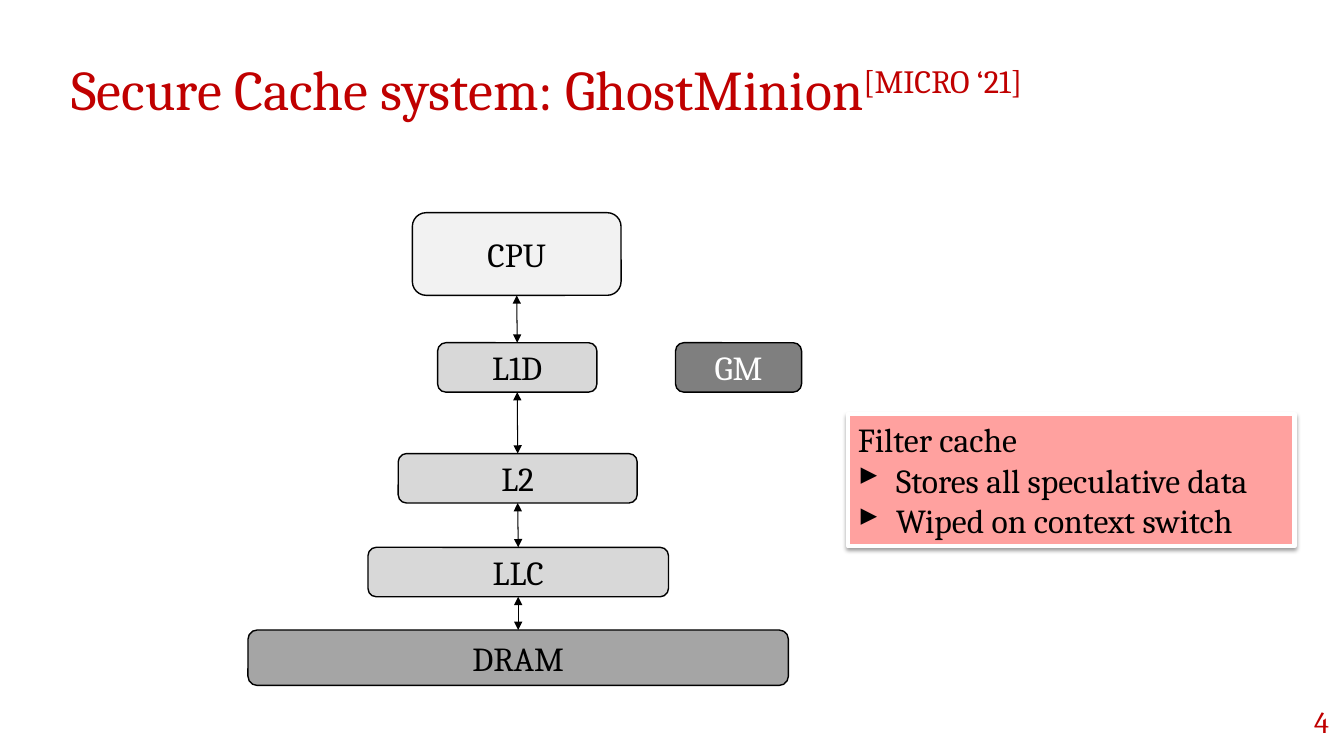
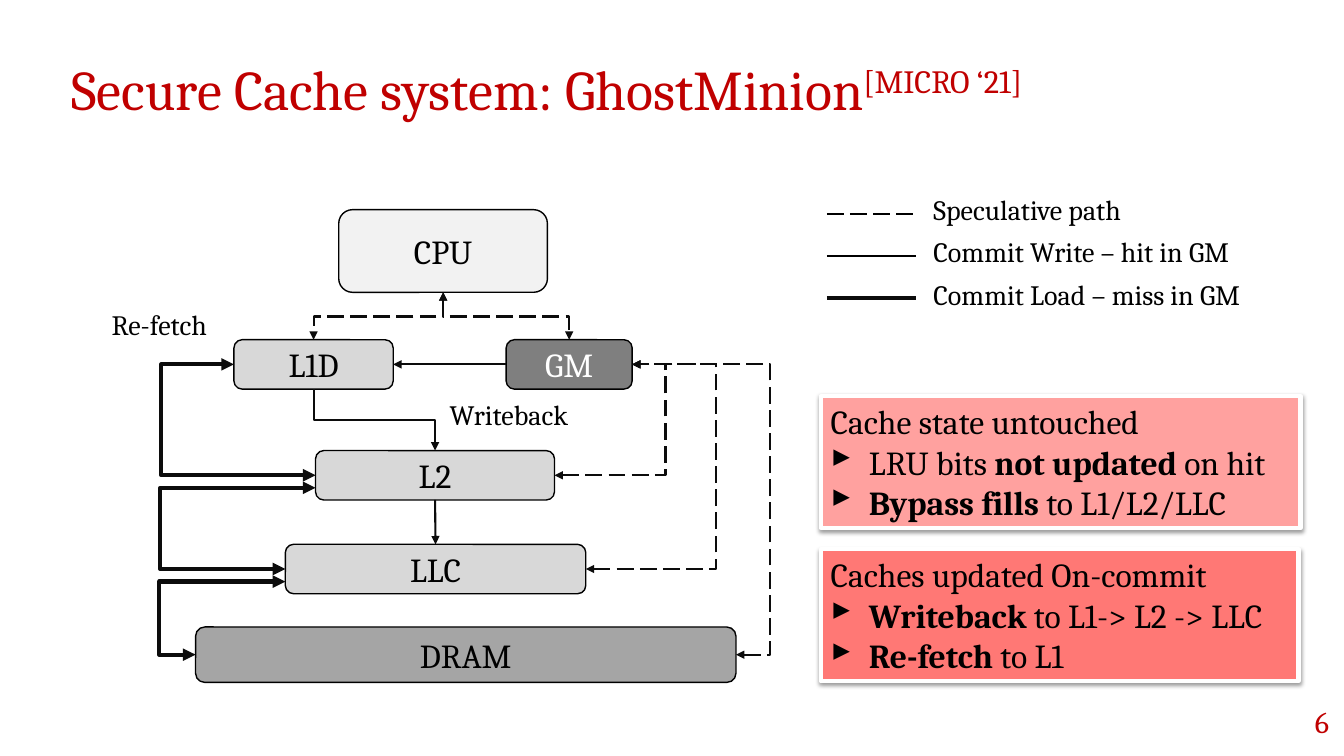
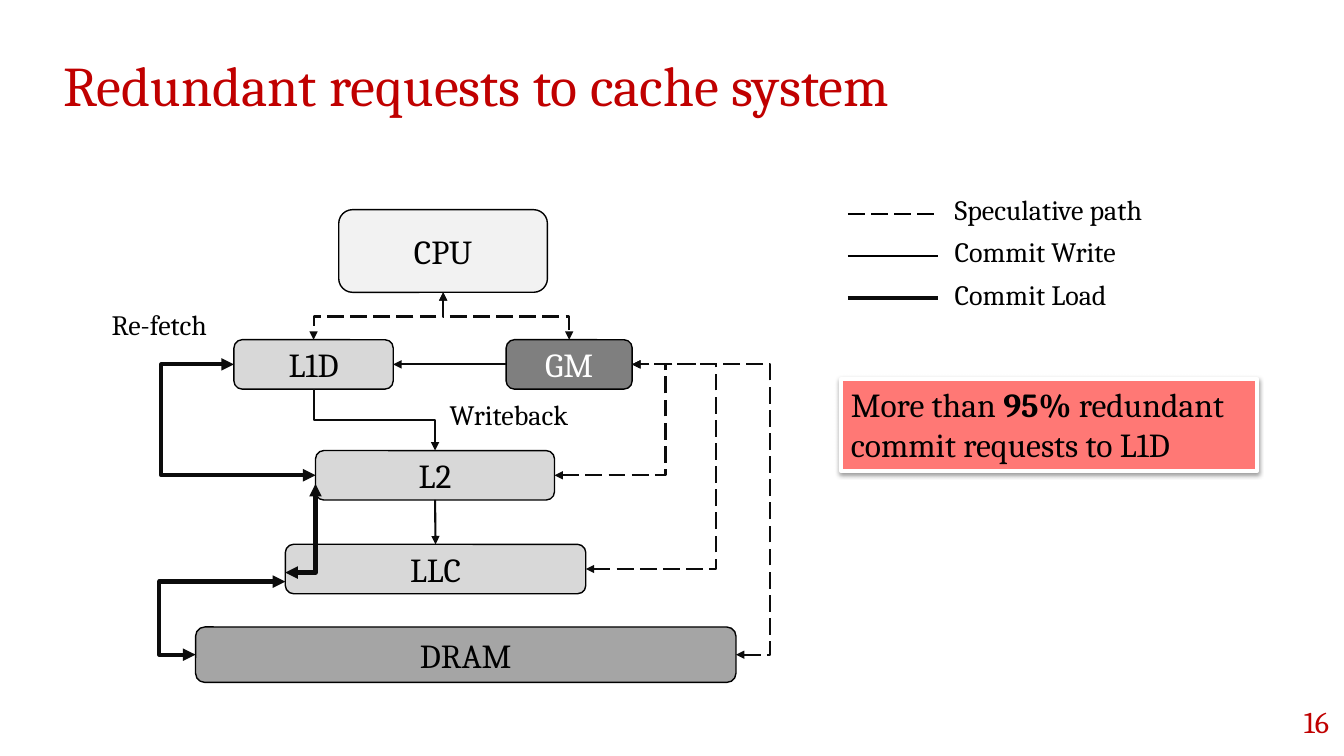
from itertools import pairwise

from lxml.etree import SubElement
from pptx import Presentation
from pptx.dml.color import RGBColor
from pptx.enum.dml import MSO_LINE
from pptx.enum.shapes import MSO_CONNECTOR as Link, MSO_SHAPE as Preset
from pptx.enum.text import MSO_ANCHOR as Anchor, MSO_AUTO_SIZE as AutoSize, PP_ALIGN as Align
from pptx.oxml.ns import qn
from pptx.util import Emu, Pt

PX = 9144  # EMU in one px, 100 px to the inch
FONT = "Cambria"
COLORS = {
    "accent": "C00000", "black": "000000", "ink": "0C0C0C", "white": "FFFFFF",
    "cpu": "F2F2F2", "cache": "D8D8D8", "filter": "7F7F7F", "memory": "A5A5A5",
    "light_note": "FFA19F", "strong_note": "FF7875",
}
TOP, LEFT, BOTTOM, RIGHT = range(4)
THIN, NORMAL, THICK = 0.75, 1.5, 3

# name: top, width, height, fill, text colour
NODES = {
    "CPU": (208, 207, 82, "cpu", "black"),
    "L1D": (337, 158, 49, "cache", "black"),
    "GM": (337, 125, 49, "filter", "white"),
    "L2": (447, 237, 49, "cache", "black"),
    "LLC": (540, 298, 49, "cache", "black"),
    "DRAM": (622, 536, 55, "memory", "black"),
}


def px(*lengths):
    return [Emu(round(length * PX)) for length in lengths]


def color(name):
    return RGBColor.from_string(COLORS[name])


def style_runs(paragraph, size, color_name):
    for run in paragraph.runs:
        run.font.name = FONT
        run.font.size = Pt(size)
        run.font.color.rgb = color(color_name)


def set_frame(text_frame, inset, anchor=Anchor.TOP, auto_size=AutoSize.NONE):
    """Set wrapping, anchor and the upper and lower insets; the side insets are always 10 px."""
    text_frame.word_wrap = True
    text_frame.auto_size = auto_size
    text_frame.vertical_anchor = anchor
    text_frame.margin_left, text_frame.margin_right = px(10, 10)
    text_frame.margin_top, text_frame.margin_bottom = px(inset, inset)


def add_slide(presentation, number, title, title_at, citation=""):
    slide = presentation.slides.add_slide(presentation.slide_layouts[5])
    shape = slide.shapes.title
    shape.left, shape.top, shape.width, shape.height = px(*title_at)
    set_frame(shape.text_frame, 10)
    paragraph = shape.text_frame.paragraphs[0]
    paragraph.text = title
    paragraph.alignment = Align.LEFT
    if citation:
        run = paragraph.add_run()
        run.text = citation
        run.font._element.set("baseline", "30000")
    style_runs(paragraph, 40, "accent")

    page = slide.shapes.add_textbox(*px(1234, 687, 94, 57))
    set_frame(page.text_frame, 10, Anchor.MIDDLE)
    paragraph = page.text_frame.paragraphs[0]
    paragraph.text = str(number)
    paragraph.alignment = Align.RIGHT
    style_runs(paragraph, 21.6, "accent")
    return slide


def add_nodes(slide, lefts, drop=0):
    """Draw the memory hierarchy and return its shapes by name."""
    nodes = {}
    for name, (top, width, height, fill, text_color) in NODES.items():
        box = px(lefts[name], top + drop, width, height)
        shape = slide.shapes.add_shape(Preset.ROUNDED_RECTANGLE, *box)
        shape.shadow.inherit = False
        shape.fill.solid()
        shape.fill.fore_color.rgb = color(fill)
        shape.line.color.rgb = color("black")
        shape.line.width = Pt(1)
        set_frame(shape.text_frame, 5, Anchor.MIDDLE)
        paragraph = shape.text_frame.paragraphs[0]
        paragraph.text = name
        paragraph.alignment = Align.CENTER
        style_runs(paragraph, 24, text_color)
        nodes[name] = shape
    return nodes


def add_label(slide, text, left, top, width):
    label = slide.shapes.add_textbox(*px(left, top, width, 44))
    set_frame(label.text_frame, 5, auto_size=AutoSize.SHAPE_TO_FIT_TEXT)
    label.text_frame.text = text
    style_runs(label.text_frame.paragraphs[0], 20, "black")


def end_point(end):
    """Return EMU coordinates of a (shape, side) pair or of an (x, y) pair in px."""
    shape, side = end
    if isinstance(shape, int):
        return px(*end)
    x = shape.left + (0, shape.width // 2, shape.width)[{LEFT: 0, RIGHT: 2}.get(side, 1)]
    y = shape.top + (0, shape.height // 2, shape.height)[{TOP: 0, BOTTOM: 2}.get(side, 1)]
    return x, y


def add_line(slide, start, end, width=NORMAL, line_color="ink", dashed=False,
             heads=(), kind=Link.STRAIGHT):
    points = *end_point(start), *end_point(end)
    connector = slide.shapes.add_connector(kind, *points)
    if not isinstance(start[0], int):
        connector.begin_connect(*start)
    if not isinstance(end[0], int):
        connector.end_connect(*end)
    connector.line.color.rgb = color(line_color)
    connector.line.width = Pt(width)
    if dashed:
        connector.line.dash_style = MSO_LINE.LONG_DASH
    line = connector.line._get_or_add_ln()
    for head in heads:
        SubElement(line, qn(f"a:{head}"), type="triangle")
    SubElement(connector.element.spPr, qn("a:effectLst"))
    return connector


def add_elbow(slide, start, end, via, vertical=False, **style):
    """Join two ends by three segments; via is the px place of the middle one.

    The outer segments are horizontal, or vertical when asked for.
    """
    connector = add_line(slide, start, end, kind=Link.ELBOW, **style)
    (x1, y1), (x2, y2) = end_point(start), end_point(end)
    run, rise = x2 - x1, y2 - y1
    same_sign = (run > 0) == (rise > 0)
    if vertical:
        width, height = abs(rise), abs(run)
        rotation, flip = (90 if run < 0 else 270), same_sign
        bend = (via * PX - y1) / rise
    else:
        width, height = abs(run), abs(rise)
        rotation, flip = (0 if rise > 0 else 180), not same_sign
        bend = (via * PX - x1) / run
    connector.left, connector.top = (x1 + x2 - width) // 2, (y1 + y2 - height) // 2
    connector.width, connector.height = width, height
    frame = connector.element.spPr.find(qn("a:xfrm"))
    for name, value in (("rot", rotation * 60000), ("flipH", int(flip)), ("flipV", 0)):
        frame.set(name, str(value))
    guides = connector.element.spPr.find(qn("a:prstGeom")).find(qn("a:avLst"))
    SubElement(guides, qn("a:gd"), name="adj1", fmla=f"val {round(bend * 100000)}")


def add_bullet(paragraph):
    properties = paragraph._p.get_or_add_pPr()
    indent = round(38 * PX)
    properties.set("marL", str(indent))
    properties.set("indent", str(-indent))
    bullet_color = SubElement(properties, qn("a:buClr"))
    SubElement(bullet_color, qn("a:srgbClr"), val=COLORS["black"])
    SubElement(properties, qn("a:buChar"), char="▸")


def add_note(slide, at, fill, heading, *bullets):
    """Add a shadowed box with a heading and bullets; *stars* enclose bold words."""
    shape = slide.shapes.add_shape(Preset.RECTANGLE, *px(*at))
    shape.fill.solid()
    shape.fill.fore_color.rgb = color(fill)
    shape.line.color.rgb = color("white")
    shape.line.width = Pt(3)
    effects = SubElement(shape.element.spPr, qn("a:effectLst"))
    shadow = SubElement(effects, qn("a:outerShdw"), blurRad=str(Pt(3.1)), dist=str(Pt(1.6)),
                        dir="5400000", rotWithShape="0")
    shade = SubElement(shadow, qn("a:srgbClr"), val=COLORS["black"])
    SubElement(shade, qn("a:alpha"), val="38000")

    text_frame = shape.text_frame
    set_frame(text_frame, 5, auto_size=AutoSize.SHAPE_TO_FIT_TEXT)
    for index, text in enumerate((heading, *bullets)):
        paragraph = text_frame.add_paragraph() if index else text_frame.paragraphs[0]
        paragraph.alignment = Align.LEFT
        if index:
            add_bullet(paragraph)
        for part, words in enumerate(text.split("*")):
            if words:
                run = paragraph.add_run()
                run.text = words
                run.font.bold = part % 2 == 1
        style_runs(paragraph, 24, "black")


def add_legend(slide, left, labels):
    styles = ((NORMAL, "black", True), (NORMAL, "black", False), (THICK, "ink", False))
    for row, (label, (width, line_color, dashed)) in enumerate(zip(labels, styles)):
        y = 212 + 42 * row
        add_line(slide, (left, y), (left + 89, y), width, line_color, dashed)
        add_label(slide, label, left + 96, y - 26, 360)


def add_secure_cache(slide):
    """Draw the hierarchy with the request paths that both path slides share."""
    lefts = {"CPU": 336, "L1D": 232, "GM": 502, "L2": 313, "LLC": 283, "DRAM": 194}
    nodes = add_nodes(slide, lefts)
    cpu, l1d, gm, l2, llc, dram = (nodes[name] for name in NODES)
    both = ("headEnd", "tailEnd")
    speculative = {"dashed": True, "heads": both}
    commit_write = {"heads": ("tailEnd",)}

    for level, via in ((l2, 660), (llc, 710), (dram, 764)):
        add_elbow(slide, (level, RIGHT), (gm, RIGHT), via, **speculative)
    for target in (l1d, gm):
        add_elbow(slide, (cpu, BOTTOM), (target, TOP), 314, vertical=True, **speculative)

    add_line(slide, (gm, LEFT), (l1d, RIGHT), **commit_write)
    add_elbow(slide, (l1d, BOTTOM), (l2, TOP), 417, vertical=True, **commit_write)
    add_line(slide, (l2, BOTTOM), (llc, TOP), **commit_write)

    commit_load = {"width": THICK, "heads": both}
    add_elbow(slide, (l2, LEFT), (l1d, LEFT), 160, **commit_load)
    add_elbow(slide, (dram, LEFT), (283, 577), 158, **commit_load)

    add_label(slide, "Writeback", 436, 389, 152)
    add_label(slide, "Re-fetch", 101, 300, 170)
    return nodes, commit_load


def build_filter_cache(presentation, heading):
    slide = add_slide(presentation, 4, **heading)
    lefts = {"CPU": 409, "L1D": 434, "GM": 670, "L2": 395, "LLC": 365, "DRAM": 246}
    nodes = add_nodes(slide, lefts, drop=3)
    for upper, lower in pairwise(("CPU", "L1D", "L2", "LLC", "DRAM")):
        add_line(slide, (nodes[upper], BOTTOM), (nodes[lower], TOP), THIN, "black",
                 heads=("headEnd", "tailEnd"))
    add_note(slide, (841, 411, 443, 131), "light_note", "Filter cache",
             "Stores all speculative data", "Wiped on context switch")


def build_request_paths(presentation, heading):
    slide = add_slide(presentation, 6, **heading)
    nodes, commit_load = add_secure_cache(slide)
    add_elbow(slide, (nodes["LLC"], LEFT), (313, 484), 159, **commit_load)
    add_legend(slide, 820, ("Speculative path", "Commit Write – hit in GM",
                            "Commit Load – miss in GM"))
    add_note(slide, (814, 393, 476, 131), "light_note", "Cache state untouched",
             "LRU bits *not updated *on hit", "*Bypass fills *to L1/L2/LLC")
    add_note(slide, (814, 545, 474, 131), "strong_note", "Caches updated On-commit",
             "*Writeback* to L1-> L2 -> LLC", "*Re-fetch* to L1")


def build_redundant_requests(presentation):
    slide = add_slide(presentation, 16, "Redundant requests to cache system", (53, 40, 1295, 120))
    _, commit_load = add_secure_cache(slide)
    add_elbow(slide, (283, 568), (313, 480), 568, vertical=True, **commit_load)
    add_legend(slide, 841, ("Speculative path", "Commit Write", "Commit Load"))
    add_note(slide, (834, 376, 413, 91), "strong_note",
             "More than *95%* redundant commit requests to L1D")


def main():
    presentation = Presentation()
    presentation.slide_width, presentation.slide_height = px(1333, 750)
    heading = {
        "title": "Secure Cache system: GhostMinion",
        "title_at": (61, 44, 1295, 118),
        "citation": "[MICRO ‘21]",
    }
    build_filter_cache(presentation, heading)
    build_request_paths(presentation, heading)
    build_redundant_requests(presentation)
    presentation.save("out.pptx")


if __name__ == "__main__":
    main()
